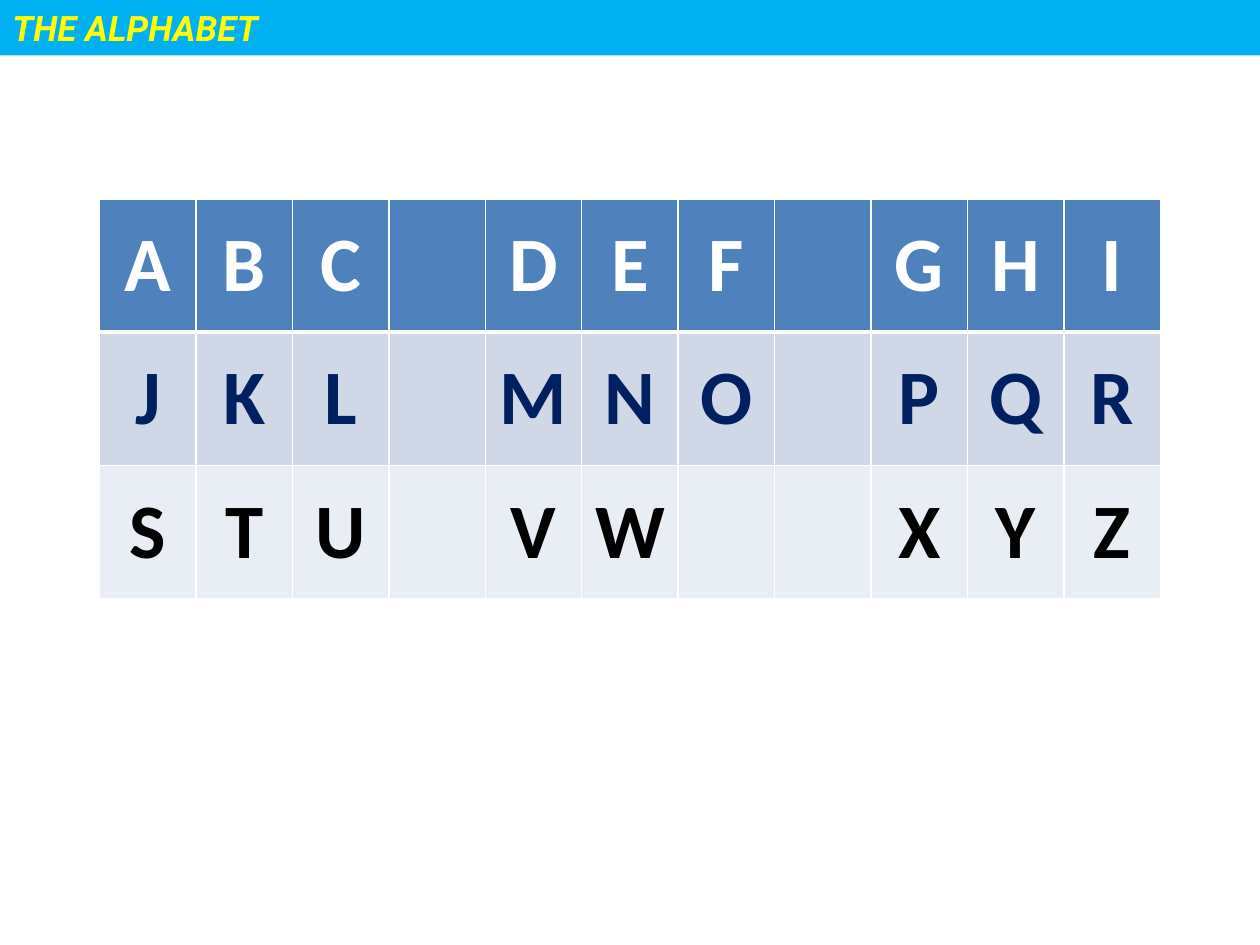
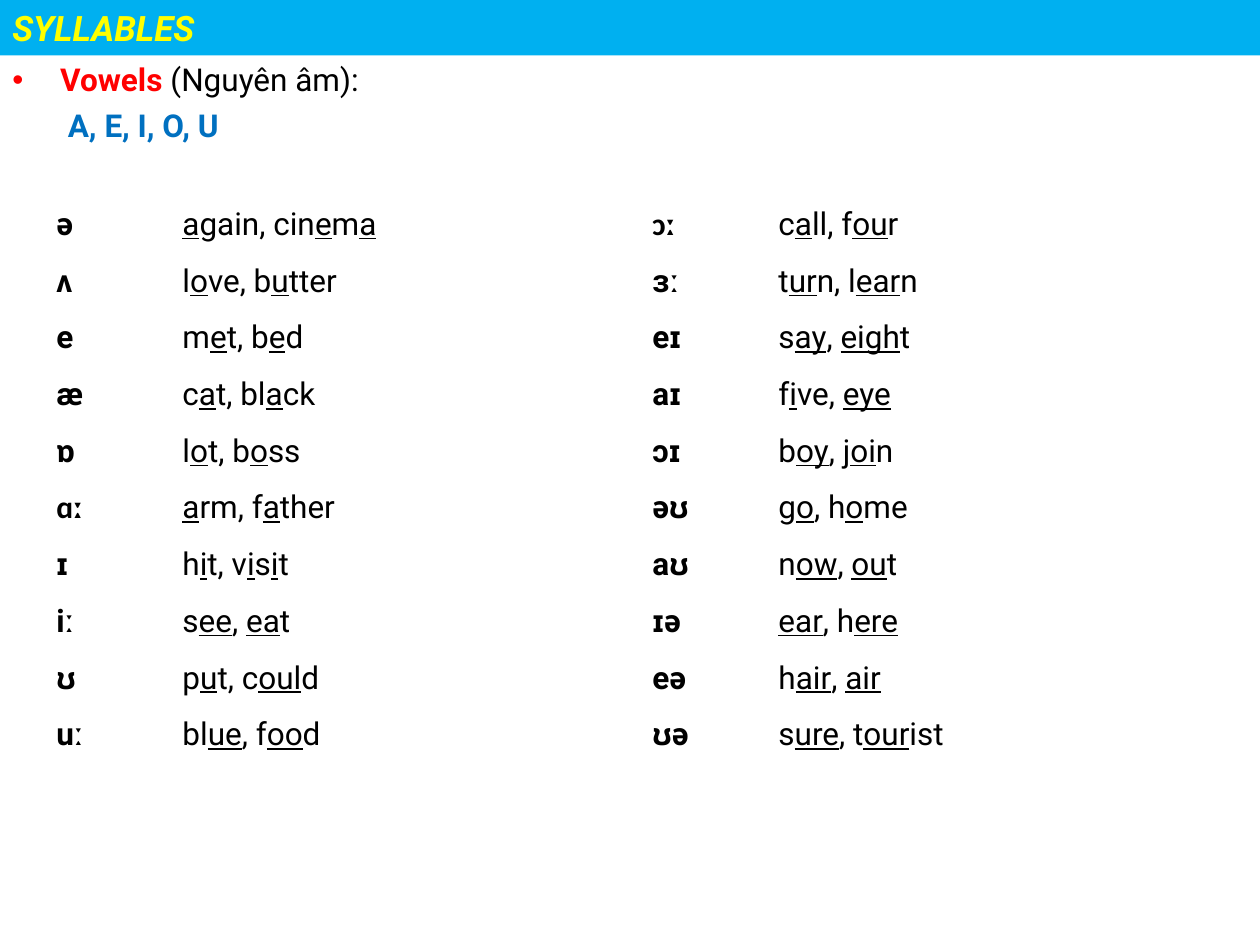
from lxml import etree
from pptx import Presentation
from pptx import util as u
from pptx.dml import color
from pptx.enum import shapes, text
from pptx.oxml import ns

VOWELS_LEFT = [
    ("ə", "_a_gain, cin_e_m_a_"),
    ("ʌ", "l_o_ve, b_u_tter"),
    ("e", "m_e_t, b_e_d"),
    ("æ", "c_a_t, bl_a_ck"),
    ("ɒ", "l_o_t, b_o_ss"),
    ("ɑː", "_a_rm, f_a_ther"),
    ("ɪ", "h_i_t, v_i_s_i_t"),
    ("iː", "s_ee_, _ea_t"),
    ("ʊ", "p_u_t, c_oul_d"),
    ("uː", "bl_ue_, f_oo_d"),
]
VOWELS_RIGHT = [
    ("ɔː", "c_a_ll, f_ou_r"),
    ("ɜː", "t_ur_n, l_ear_n"),
    ("eɪ", "s_ay_, _eigh_t"),
    ("aɪ", "f_i_ve, _eye_"),
    ("ɔɪ", "b_oy_, j_oi_n"),
    ("əʊ", "g_o_, h_o_me"),
    ("aʊ", "n_ow_, _ou_t"),
    ("ɪə", "_ear_, h_ere_"),
    ("eə", "h_air_, _air_"),
    ("ʊə", "s_ure_, t_our_ist"),
]
CALIBRI_SOUNDS = ("ɑː", "ɔː")
ALPHABET_ROWS = [
    ("ABC DEF GHI", "4F81BD", "FFFFFF"),
    ("JKL MNO PQR", "D0D8E8", "002060"),
    ("STU VW  XYZ", "E9EDF4", "000000"),
]


def rgb(code):
    return color.RGBColor.from_string(code)


def inches(*lengths):
    return [u.Inches(length) for length in lengths]


class Lesson:
    """Holds the lesson style and draws on the current slide."""

    BAND, TITLE, BODY = "00B0F0", "FFFF00", "000000"

    def __init__(self):
        self.deck = Presentation()
        self.deck.slide_width, self.deck.slide_height = inches(10, 7.5)
        self.page = None

    def add_page(self, title):
        self.page = self.deck.slides.add_slide(self.deck.slide_layouts[6])
        band = self.panel((0, 0, 10, 0.44), self.BAND)
        self.span(band.text_frame.paragraphs[0], title, self.TITLE,
                  size=u.Pt(20), bold=True, italic=True)

    def panel(self, place, fill, line=None):
        box = self.page.shapes.add_shape(shapes.MSO_SHAPE.RECTANGLE, *inches(*place))
        box.shadow.inherit = False
        box.fill.solid()
        box.fill.fore_color.rgb = rgb(fill)
        if line:
            box.line.color.rgb = rgb(line)
            box.line.width = u.Pt(0.75)
        else:
            box.line.fill.background()
        box.text_frame.paragraphs[0].alignment = text.PP_ALIGN.LEFT
        return box

    def text_box(self, place):
        box = self.page.shapes.add_textbox(*inches(*place))
        box.text_frame.word_wrap = True
        return box

    def span(self, para, words, ink=BODY, **formats):
        span = para.add_run()
        span.text = words
        span.font.color.rgb = rgb(ink)
        for name, value in {"name": "Roboto", "size": u.Pt(18), **formats}.items():
            setattr(span.font, name, value)

    def indent(self, para, margin, first=0.0, bullet=None):
        props = para._p.get_or_add_pPr()
        props.set("marL", str(u.Inches(margin)))
        props.set("indent", str(u.Inches(first)))
        if bullet:
            etree.SubElement(props, ns.qn("a:buFont")).set("typeface", "Arial")
            etree.SubElement(props, ns.qn("a:buChar")).set("char", bullet)

    def tab_stop(self, para, position):
        stops = etree.SubElement(para._p.get_or_add_pPr(), ns.qn("a:tabLst"))
        etree.SubElement(stops, ns.qn("a:tab"), pos=str(u.Inches(position)), algn="l")

    def sound_list(self, box, sounds):
        frame = box.text_frame
        frame.auto_size = text.MSO_AUTO_SIZE.SHAPE_TO_FIT_TEXT
        frame.vertical_anchor = text.MSO_ANCHOR.TOP
        for index, (sound, examples) in enumerate(sounds):
            para = frame.add_paragraph() if index else frame.paragraphs[0]
            para.alignment = text.PP_ALIGN.LEFT
            para.line_spacing = 1.5
            self.tab_stop(para, 1)
            font = "Calibri" if sound in CALIBRI_SOUNDS else "Roboto"
            self.span(para, sound + "\t", name=font, bold=True)
            for part, letters in enumerate(examples.split("_")):
                if letters:
                    self.span(para, letters, underline=part % 2 == 1)

    def borders(self, cell, widths):
        props = cell._tc.get_or_add_tcPr()
        for position, (side, width) in enumerate(widths.items()):
            line = etree.Element(ns.qn("a:ln" + side), w=str(u.Pt(width)))
            fill = etree.SubElement(line, ns.qn("a:solidFill"))
            etree.SubElement(fill, ns.qn("a:srgbClr")).set("val", "FFFFFF")
            props.insert(position, line)

    def letter_table(self, place, rows):
        columns = len(rows[0][0])
        table = self.page.shapes.add_table(len(rows), columns, *inches(*place)).table
        for r, (letters, fill, ink) in enumerate(rows):
            widths = {"L": 1, "R": 1, "T": 3 if r == 1 else 1, "B": 3 if r == 0 else 1}
            for c, letter in enumerate(letters):
                cell = table.cell(r, c)
                cell.fill.solid()
                cell.fill.fore_color.rgb = rgb(fill)
                cell.vertical_anchor = text.MSO_ANCHOR.MIDDLE
                self.borders(cell, widths)
                if letter != " ":
                    para = cell.text_frame.paragraphs[0]
                    para.alignment = text.PP_ALIGN.CENTER
                    self.span(para, letter, ink, name="Calibri", size=u.Pt(44), bold=True)


def main():
    lesson = Lesson()

    lesson.add_page("THE ALPHABET")
    lesson.letter_table((0.79, 1.58, 8.42, 3.17), ALPHABET_ROWS)

    lesson.add_page("SYLLABLES")
    frame = lesson.text_box((0, 0.43, 10, 0.65)).text_frame
    heading = frame.paragraphs[0]
    lesson.indent(heading, 0.38, -0.38, "•")
    lesson.span(heading, "Vowels ", "FF0000", bold=True)
    lesson.span(heading, "(Nguyên âm):")
    vowels = frame.add_paragraph()
    vowels.space_before = u.Pt(4.5)
    lesson.indent(vowels, 0.44)
    lesson.span(vowels, "A, E, I, O, U", "0070C0", bold=True)

    lesson.sound_list(lesson.panel((0.35, 1.42, 3.63, 4.64), "FFFFFF", "FFFFFF"), VOWELS_LEFT)
    lesson.sound_list(lesson.text_box((5.08, 1.42, 3.82, 4.64)), VOWELS_RIGHT)

    lesson.deck.save("out.pptx")


if __name__ == "__main__":
    main()
